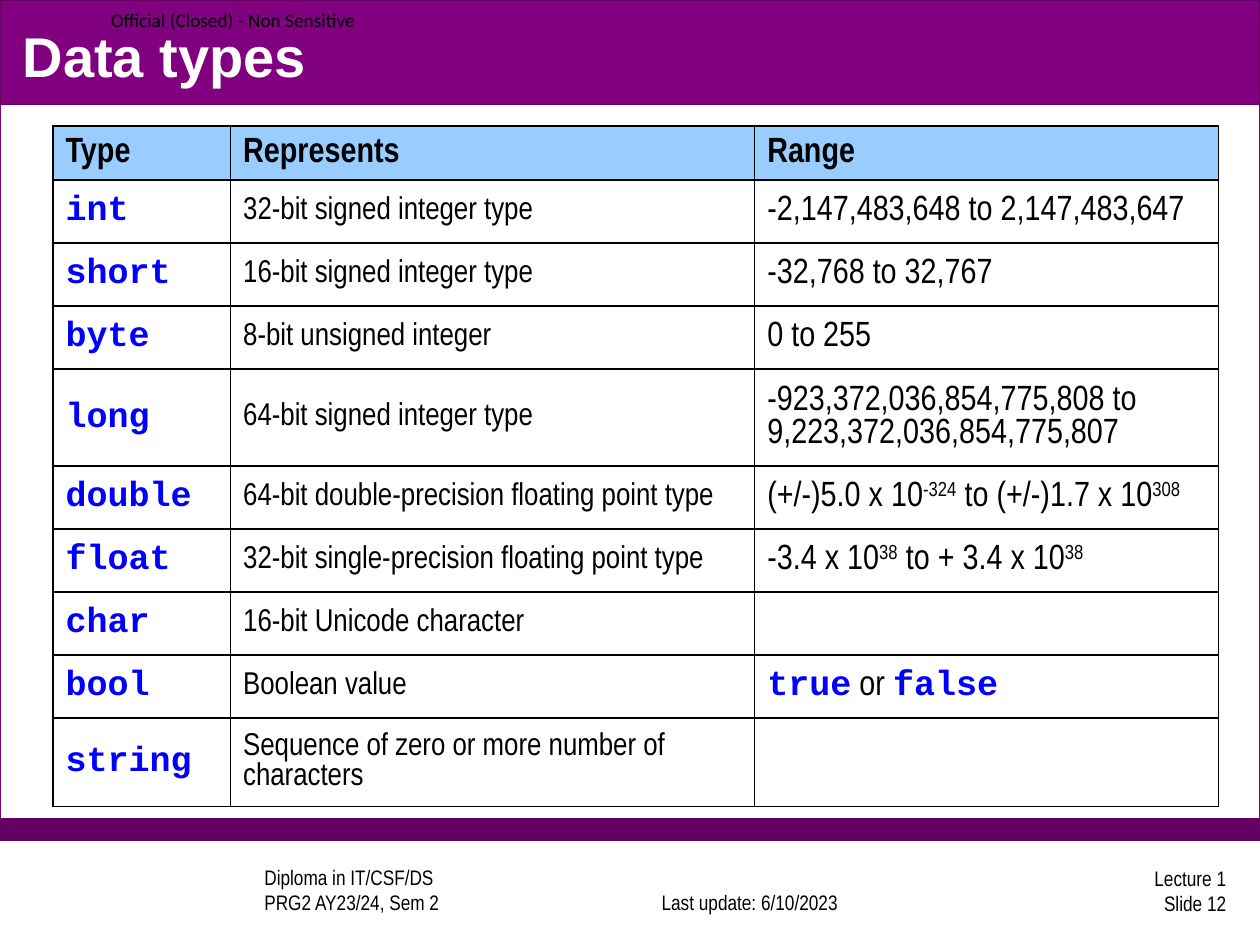
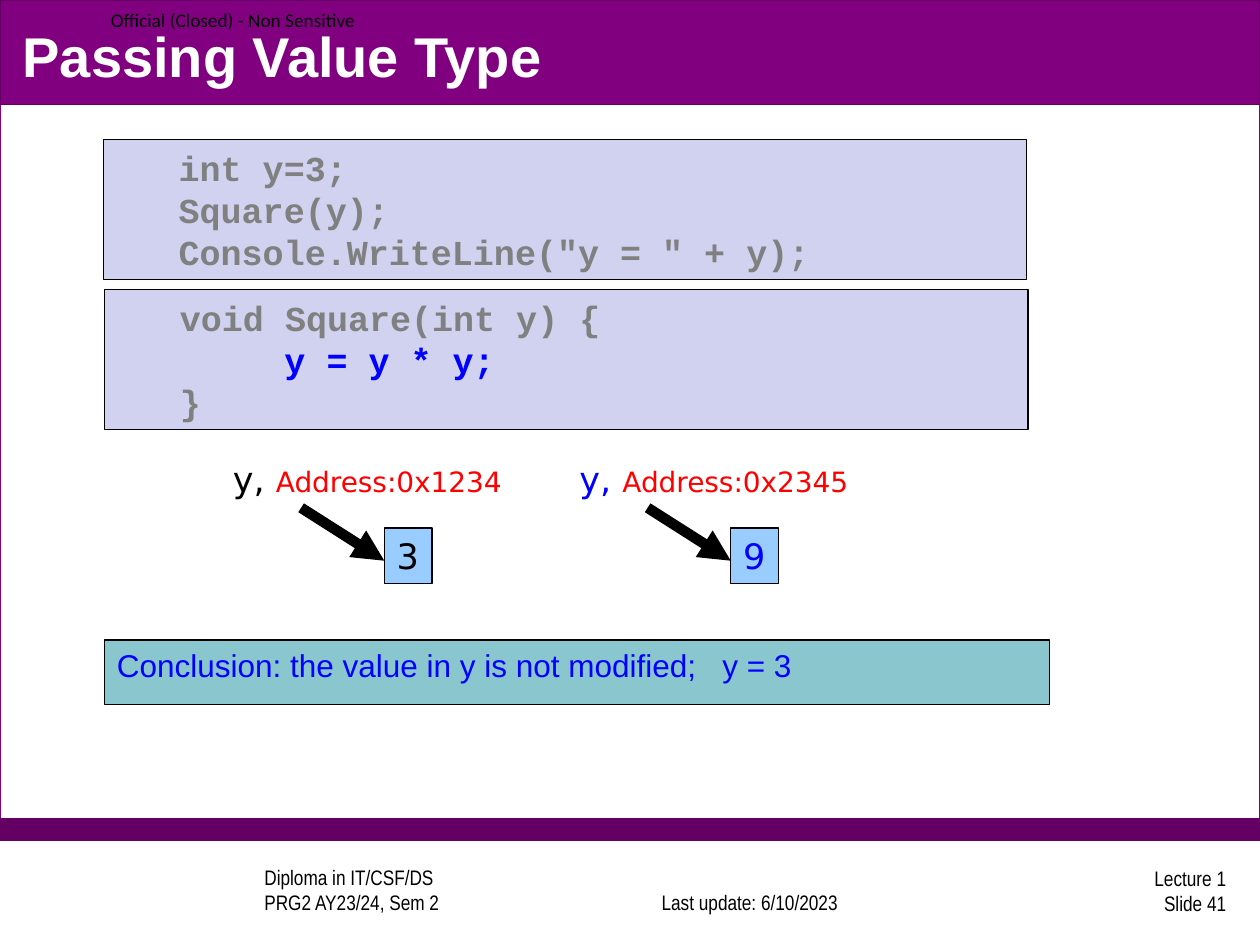
from dataclasses import dataclass

from lxml import etree
from pptx import Presentation
from pptx.dml.color import RGBColor
from pptx.enum.shapes import MSO_CONNECTOR, MSO_SHAPE
from pptx.enum.text import MSO_ANCHOR, MSO_AUTO_SIZE, PP_ALIGN
from pptx.oxml.ns import qn
from pptx.util import Inches, Pt

RECTANGLE = MSO_SHAPE.RECTANGLE
STRAIGHT = MSO_CONNECTOR.STRAIGHT
TOP, MIDDLE, BOTTOM = MSO_ANCHOR.TOP, MSO_ANCHOR.MIDDLE, MSO_ANCHOR.BOTTOM
LEFT, CENTER, RIGHT = PP_ALIGN.LEFT, PP_ALIGN.CENTER, PP_ALIGN.RIGHT
NO_AUTOFIT = MSO_AUTO_SIZE.NONE

BLACK, WHITE, GRAY = "000000", "FFFFFF", "808080"
BLUE, RED = "0000FF", "FF0000"
PURPLE, DARK_PURPLE = "800080", "640064"
SKY, LAVENDER, TEAL = "99CCFF", "D1D1F0", "8AC6CD"
SANS, NARROW, CODE, LABEL = "Arial", "Arial Narrow", "Courier New", "DejaVu Sans"
TITLE_ONLY = 5


@dataclass(frozen=True)
class Style:
    font: str
    size: float
    color: str = BLACK
    bold: bool = False
    superscript: bool = False


@dataclass(frozen=True)
class Run:
    text: str
    style: Style


@dataclass(frozen=True)
class Box:
    left: float
    top: float
    width: float
    height: float

    def lengths(self) -> tuple:
        return tuple(Inches(value) for value in (self.left, self.top, self.width, self.height))


@dataclass(frozen=True)
class Line:
    runs: tuple
    indent: float = 0
    align: object = LEFT


@dataclass(frozen=True)
class Band:
    box: Box
    fill: str
    outline: str


@dataclass(frozen=True)
class Variable:
    left: float
    address: str
    value: str
    color: str


TITLE = Style(SANS, 32, WHITE, bold=True)
FOOTER = Style(NARROW, 12)
MARKING = Style("Calibri", 11)
HEADING = Style(NARROW, 20, bold=True)
KEYWORD = Style(CODE, 20, BLUE, bold=True)
DESCRIPTION = Style(NARROW, 18)
RANGE = Style(NARROW, 20)
POWER = Style(NARROW, 20, superscript=True)
CODE_GRAY = Style(CODE, 20, GRAY, bold=True)
CONCLUSION = Style(SANS, 18, BLUE)

BANDS = (
    Band(Box(0, 0, 10, 6.67), WHITE, PURPLE),
    Band(Box(0, 6.5, 10, 0.17), DARK_PURPLE, DARK_PURPLE),
    Band(Box(0, 0, 10, 0.83), PURPLE, DARK_PURPLE),
)

COLUMN_WIDTHS = (1.41, 4.16, 3.68)
ROW_HEIGHTS = (0.43, 0.5, 0.5, 0.5, 0.77, 0.5, 0.5, 0.5, 0.5, 0.7)
HEADINGS = ("Type", "Represents", "Range")
DATA_TYPES = (
    ("int", "32-bit signed integer type", (Run("-2,147,483,648 to 2,147,483,647", RANGE),)),
    ("short", "16-bit signed integer type", (Run("-32,768 to 32,767", RANGE),)),
    ("byte", "8-bit unsigned integer", (Run("0 to 255", RANGE),)),
    ("long", "64-bit signed integer type",
     (Run("-923,372,036,854,775,808 to 9,223,372,036,854,775,807", RANGE),)),
    ("double", "64-bit double-precision floating point type",
     (Run("(+/-)5.0 x 10", RANGE), Run("-324", POWER),
      Run(" to (+/-)1.7 x 10", RANGE), Run("308", POWER))),
    ("float", "32-bit single-precision floating point type",
     (Run("-3.4 x 10", RANGE), Run("38", POWER),
      Run(" to + 3.4 x 10", RANGE), Run("38", POWER))),
    ("char", "16-bit Unicode character", ()),
    ("bool", "Boolean value",
     (Run("true", KEYWORD), Run(" or ", RANGE), Run("false", KEYWORD))),
    ("string", "Sequence of zero or more number of characters", ()),
)

CALLER_CODE = tuple(
    Line((Run(text, CODE_GRAY),), indent=0.5)
    for text in ("int y=3;", "Square(y);", 'Console.WriteLine("y = " + y);')
)
SQUARE_CODE = (
    Line((Run("void Square(int y) {", CODE_GRAY),), indent=0.5),
    Line((Run("y = y * y;", KEYWORD),), indent=1.33),
    Line((Run("}", CODE_GRAY),), indent=0.5),
)
VARIABLES = (
    Variable(1.75, "0x1234", "3", BLACK),
    Variable(4.5, "0x2345", "9", BLUE),
)


def rgb(color: str) -> RGBColor:
    return RGBColor.from_string(color)


def write(frame, lines: tuple, anchor=TOP) -> None:
    frame.vertical_anchor = anchor
    for index, line in enumerate(lines):
        paragraph = frame.add_paragraph() if index else frame.paragraphs[0]
        paragraph.alignment = line.align
        if line.indent:
            properties = paragraph._p.get_or_add_pPr()
            properties.set("marL", str(Inches(line.indent)))
            properties.set("indent", "0")
        for part in line.runs:
            run = paragraph.add_run()
            run.text = part.text
            run.font.name = part.style.font
            run.font.size = Pt(part.style.size)
            run.font.bold = part.style.bold
            run.font.color.rgb = rgb(part.style.color)
            if part.style.superscript:
                run.font._element.set("baseline", "30000")


def add_box(shapes, box: Box, fill: str, outline: str = BLACK,
            lines: tuple = (), wrap: bool = True) -> None:
    shape = shapes.add_shape(RECTANGLE, *box.lengths())
    shape.shadow.inherit = False
    shape.fill.solid()
    shape.fill.fore_color.rgb = rgb(fill)
    shape.line.color.rgb = rgb(outline)
    shape.line.width = Pt(0.75)
    shape.text_frame.word_wrap = wrap
    write(shape.text_frame, lines)


def add_text(shapes, box: Box, lines: tuple, anchor=TOP, wrap: bool = True,
             inset: bool = True) -> None:
    frame = shapes.add_textbox(*box.lengths()).text_frame
    frame.word_wrap = wrap
    if not inset:
        frame.margin_left = frame.margin_right = frame.margin_top = frame.margin_bottom = 0
    write(frame, lines, anchor)


def add_arrow(shapes, start: tuple, end: tuple) -> None:
    connector = shapes.add_connector(STRAIGHT, *(Inches(value) for value in start + end))
    connector.line.color.rgb = rgb(BLACK)
    connector.line.width = Pt(6)
    etree.SubElement(connector.line._get_or_add_ln(), qn("a:tailEnd"), type="triangle")
    etree.SubElement(connector._element.spPr, qn("a:effectLst"))


def footer_lines(align, *texts: str) -> tuple:
    return tuple(Line((Run(text, FOOTER),), align=align) for text in texts)


def add_slide(presentation, title_text: str, number: int):
    slide = presentation.slides.add_slide(presentation.slide_layouts[TITLE_ONLY])
    shapes = slide.shapes
    for band in BANDS:
        add_box(shapes, band.box, band.fill, band.outline)
    add_text(shapes, Box(2, 6.89, 2.67, 0.42),
             footer_lines(LEFT, "Diploma in IT/CSF/DS", "PRG2 AY23/24, Sem 2"), BOTTOM)
    add_text(shapes, Box(4.91, 6.89, 2.08, 0.42),
             footer_lines(CENTER, "Last update: 6/10/2023"), BOTTOM)
    add_text(shapes, Box(7.75, 6.86, 2.08, 0.42),
             footer_lines(RIGHT, "Lecture 1", f"Slide {number}"), MIDDLE)
    add_text(shapes, Box(0.88, 0, 2.13, 0.31),
             (Line((Run("Official (Closed) - Non Sensitive", MARKING),)),), MIDDLE, inset=False)
    title = shapes.title
    title.left, title.top, title.width, title.height = Box(0.08, 0.13, 9.83, 0.62).lengths()
    title.text_frame.auto_size = NO_AUTOFIT
    write(title.text_frame, (Line((Run(title_text, TITLE),)),), MIDDLE)
    shapes._spTree.append(title._element)
    return slide


def add_borders(cell) -> None:
    properties = cell._tc.get_or_add_tcPr()
    for side in ("lnL", "lnR", "lnT", "lnB"):
        border = etree.SubElement(properties, qn(f"a:{side}"), w=str(Pt(1)))
        fill = etree.SubElement(border, qn("a:solidFill"))
        etree.SubElement(fill, qn("a:srgbClr"), val=BLACK)


def add_types_table(slide) -> None:
    rows = [tuple((Run(text, HEADING),) for text in HEADINGS)]
    rows += [((Run(name, KEYWORD),), (Run(meaning, DESCRIPTION),), limits)
             for name, meaning, limits in DATA_TYPES]
    box = Box(0.42, 1, sum(COLUMN_WIDTHS), sum(ROW_HEIGHTS))
    table = slide.shapes.add_table(len(rows), len(HEADINGS), *box.lengths()).table
    table.first_row = table.horz_banding = False
    for column, width in zip(table.columns, COLUMN_WIDTHS):
        column.width = Inches(width)
    for row_index, (row, height) in enumerate(zip(rows, ROW_HEIGHTS)):
        table.rows[row_index].height = Inches(height)
        for column_index, runs in enumerate(row):
            cell = table.cell(row_index, column_index)
            add_borders(cell)
            if row_index == 0:
                cell.fill.solid()
                cell.fill.fore_color.rgb = rgb(SKY)
            else:
                cell.fill.background()
            cell.vertical_anchor = MIDDLE
            write(cell.text_frame, (Line(runs),), MIDDLE)


def add_variable(slide, variable: Variable) -> None:
    shapes = slide.shapes.add_group_shape().shapes
    left = variable.left
    name_style = Style(LABEL, 20, variable.color)
    add_box(shapes, Box(left + 1.3, 4.19, 0.38, 0.44), SKY,
            lines=(Line((Run(variable.value, name_style),)),), wrap=False)
    add_arrow(shapes, (left + 0.64, 4.03), (left + 1.3, 4.45))
    label = (Run("y, ", name_style),
             Run(f"Address:{variable.address}", Style(LABEL, 16, RED)))
    add_text(shapes, Box(left, 3.58, 2.39, 0.44), (Line(label),), wrap=False)


def main() -> None:
    presentation = Presentation()
    presentation.slide_width, presentation.slide_height = Inches(10), Inches(7.5)

    add_types_table(add_slide(presentation, "Data types", 12))

    passing = add_slide(presentation, "Passing Value Type", 41)
    add_box(passing.shapes, Box(0.82, 1.11, 7.33, 1.11), LAVENDER, lines=CALLER_CODE)
    add_box(passing.shapes, Box(0.83, 2.3, 7.33, 1.11), LAVENDER, lines=SQUARE_CODE)
    for variable in VARIABLES:
        add_variable(passing, variable)
    add_box(passing.shapes, Box(0.83, 5.08, 7.5, 0.51), TEAL,
            lines=(Line((Run("Conclusion: the value in y is not modified;   y = 3",
                             CONCLUSION),)),))

    presentation.save("out.pptx")


if __name__ == "__main__":
    main()
